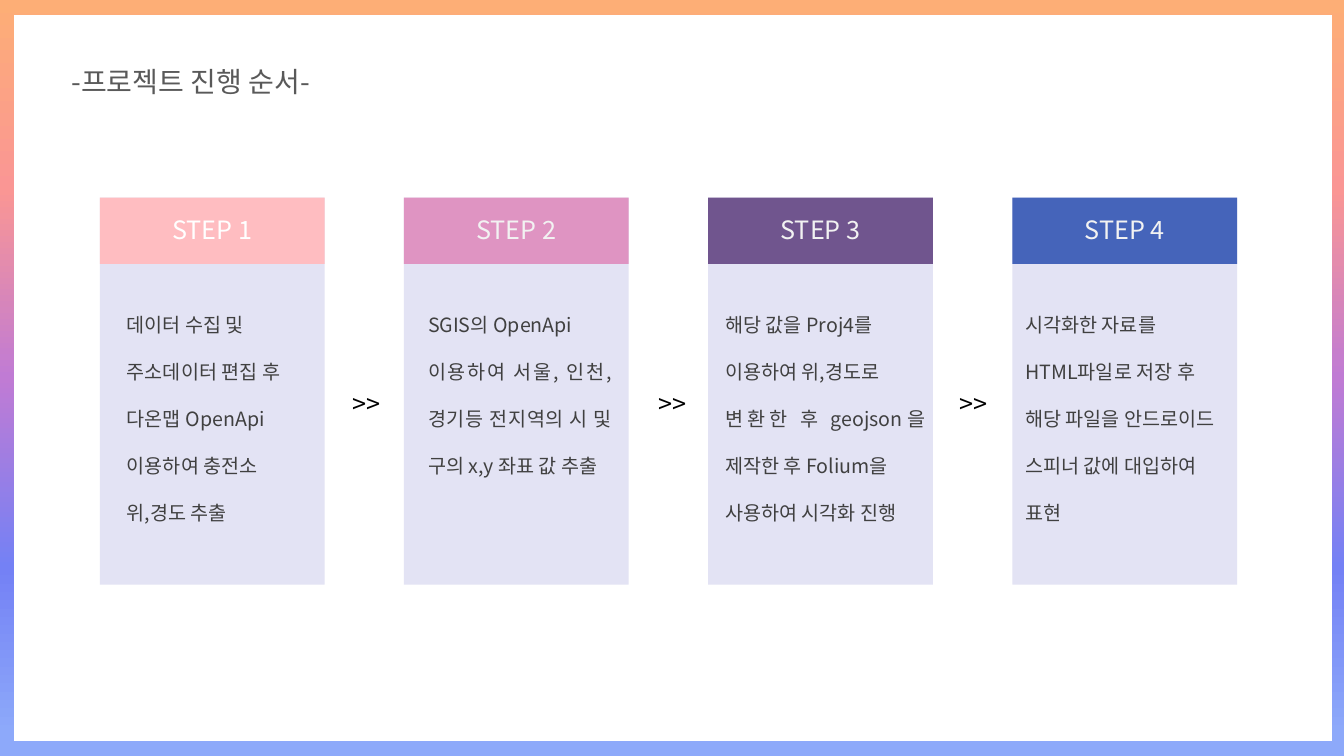
from lxml import etree
from pptx import Presentation
from pptx import util as u
from pptx.dml import color
from pptx.enum import shapes, text
from pptx.oxml import ns

FONT = "Noto Sans CJK KR"
HUES = {
    "paper": "FFFFFF", "card": "E3E3F4", "title": "595959", "body": "404040",
    "label": "F2F2F2", "arrow": "000000", "rose": "FFBDC1", "pink": "DF94C2",
    "plum": "70558E", "blue": "4564BA",
}
STOPS = [(0, "FDAE76", 90), (25, "FA9694", 80), (50, "C07BD4", 80),
         (75, "7481F5", 70), (97, "8DA9FA", 80)]
ALIGN = text.PP_ALIGN
PITCH = 9.05 / 3
CARD = (2.23, 3.84)
ARROWS = (3.4, 6.43, 9.42)
STEPS = [
    ("rose", "paper", 0.17, 2.02, ["데이터 수집 및", "주소데이터 편집 후", "다온맵 OpenApi",
                                   "이용하여 충전소", "위,경도 추출"]),
    ("pink", "label", 0.14, 2.02, ["SGIS의 OpenApi",
                                   "이용하여 서울, 인천, 경기등 전지역의 시 및 구의 x,y 좌표 값 추출"]),
    ("plum", "label", 0.07, 2.18, ["해당 값을 Proj4를", "이용하여 위,경도로",
                                   "변환한 후 geojson을 제작한 후 Folium을",
                                   "사용하여 시각화 진행"]),
    ("blue", "label", 0.03, 2.33, ["시각화한 자료를", "HTML파일로 저장 후",
                                   "해당 파일을 안드로이드", "스피너 값에 대입하여", "표현"]),
]


def assign(item, values):
    for key, value in values.items():
        setattr(item, key, value)


def add_rect(slide, box, hue):
    rect = slide.shapes.add_shape(shapes.MSO_SHAPE.RECTANGLE, *map(u.Inches, box))
    rect.shadow.inherit = False
    rect.fill.solid()
    rect.fill.fore_color.rgb = color.RGBColor.from_string(HUES[hue])
    rect.line.fill.background()


def add_text(slide, box, lines, size, hue, wrap=False, **form):
    frame = slide.shapes.add_textbox(*map(u.Inches, box)).text_frame
    frame.text = "\n".join(lines)
    assign(frame, {"word_wrap": wrap, "auto_size": text.MSO_AUTO_SIZE.SHAPE_TO_FIT_TEXT})
    for para in frame.paragraphs:
        assign(para, form)
        for run in para.runs:
            assign(run.font, {"size": u.Pt(size), "name": FONT})
            run.font.color.rgb = color.RGBColor.from_string(HUES[hue])
            east = etree.SubElement(run.font._element, ns.qn("a:ea"))
            east.set("typeface", FONT)


def add_back(slide):
    fill = slide.background.fill
    fill.gradient()
    fill.gradient_angle = 270
    stops = next(slide.element.iter(ns.qn("a:gsLst")))
    for old in list(stops):
        stops.remove(old)
    for place, hue, alpha in STOPS:
        stop = etree.SubElement(stops, ns.qn("a:gs"), pos=str(place * 1000))
        tint = etree.SubElement(stop, ns.qn("a:srgbClr"), val=hue)
        etree.SubElement(tint, ns.qn("a:alpha"), val=str(alpha * 1000))
    add_rect(slide, (0.14, 0.15, 13.07, 7.2), "paper")


def add_step(slide, box, number, step):
    left, top, width, height = box
    hue, ink, inset, span, lines = step
    add_rect(slide, box, "card")
    add_rect(slide, (left, top, width, 0.66), hue)
    add_text(slide, (left + (width - 1.2) / 2, top + 0.12, 1.2, 0.4),
             [f"STEP {number}"], 18, ink, alignment=ALIGN.CENTER)
    add_text(slide, (left + inset, top + 0.86, span, 2.4), lines, 14, "body",
             wrap=True, alignment=ALIGN.JUSTIFY, line_spacing=2.0)


def add_flow(slide, left, top):
    for index, step in enumerate(STEPS):
        add_step(slide, (left + index * PITCH, top, *CARD), index + 1, step)
    for start in ARROWS:
        add_text(slide, (start, top + 1.84, 0.49, 0.4), [">>"], 18, "arrow")


def main():
    deck = Presentation()
    assign(deck, {"slide_width": u.Inches(13.33), "slide_height": u.Inches(7.5)})
    slide = deck.slides.add_slide(deck.slide_layouts[6])
    add_back(slide)
    add_text(slide, (0.61, 0.59, 2.94, 0.44), ["-프로젝트 진행 순서-"], 20, "title")
    add_flow(slide, 0.99, 1.96)
    deck.save("out.pptx")


if __name__ == "__main__":
    main()
